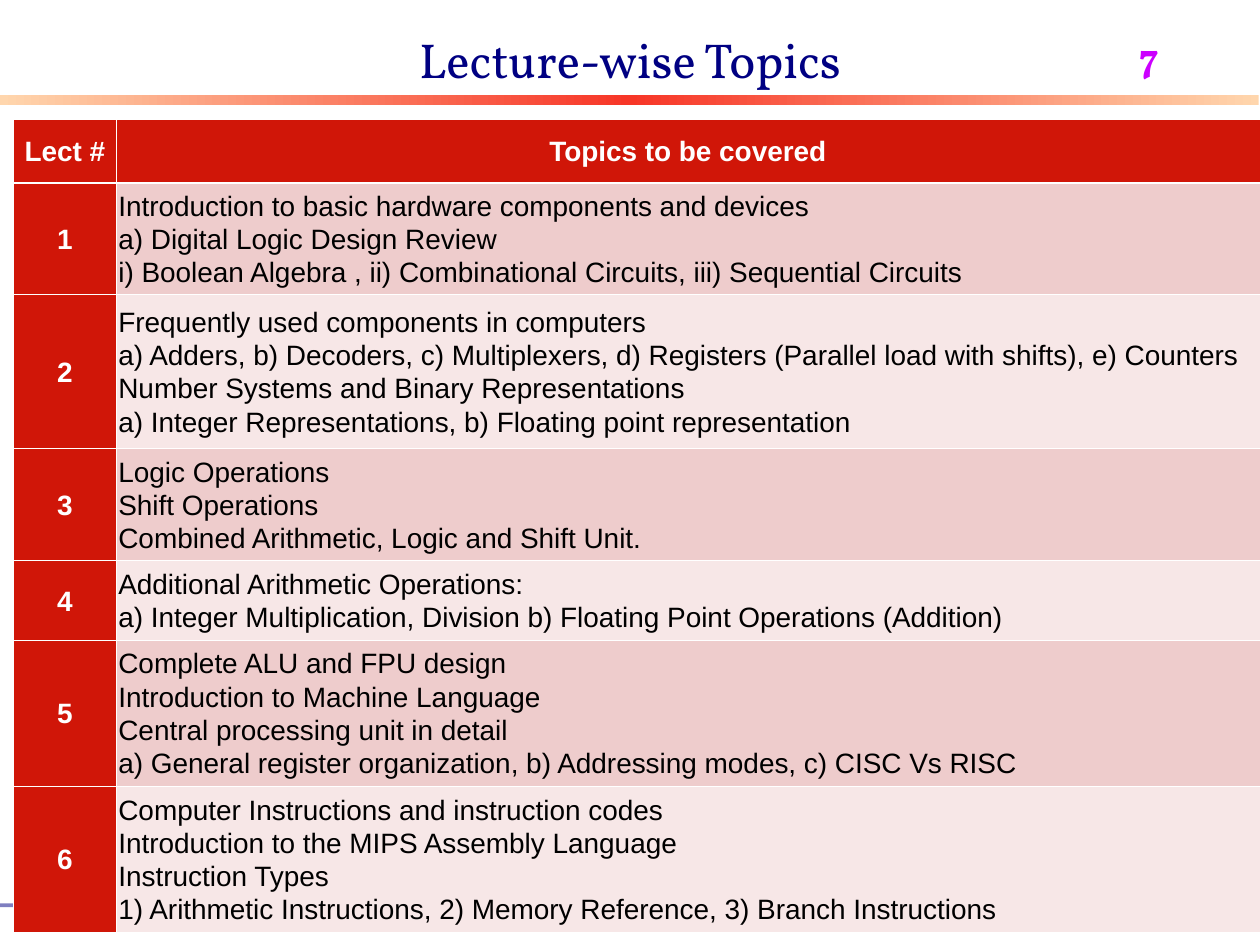
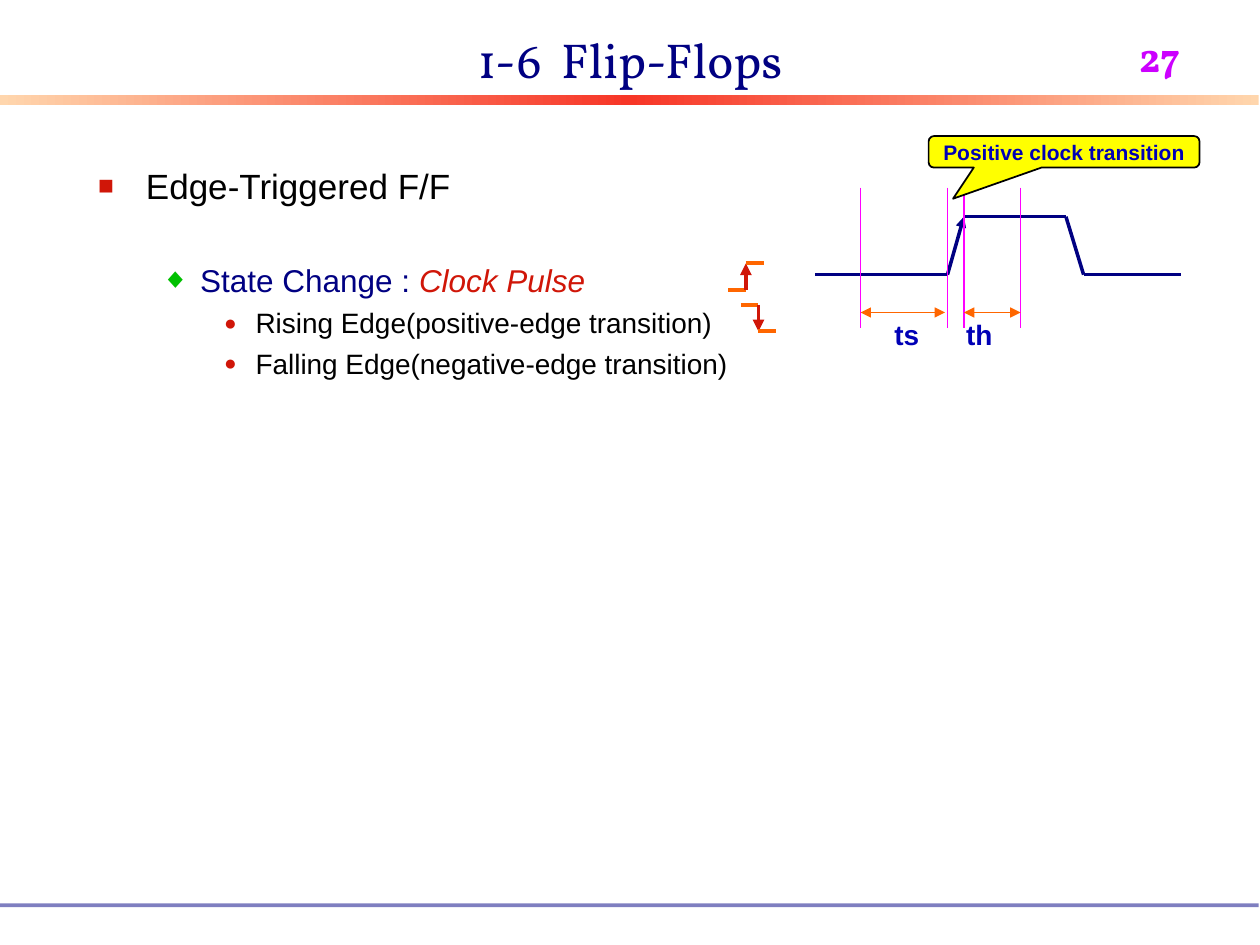
from lxml.etree import SubElement
from pptx import Presentation
from pptx.dml.color import RGBColor
from pptx.enum.shapes import MSO_CONNECTOR, MSO_SHAPE
from pptx.enum.text import MSO_ANCHOR, PP_ALIGN
from pptx.oxml import parse_xml
from pptx.oxml.ns import nsdecls, qn
from pptx.util import Inches, Pt

# Shared look
SANS, SERIF = "Arial", "Vollkorn"
NAVY, RED, BLACK, WHITE = "000082", "D01608", "000000", "FFFFFF"
BLUE, ORANGE, MAGENTA = "0000B6", "FF6600", "FF00FF"
PURPLE, YELLOW, GREEN = "CC00FF", "FFFF00", "00C000"
BAND_STOPS = [(0, "FFD6AD"), (50, "F73627"), (100, "FFD6AD")]
ROW_TINTS = ["EECCCC", "F7E7E7"]

# Lecture table: header, then the topics of each lecture with its row height
HEADER = ["Lect #", "Topics to be covered"]
HEADER_HEIGHT = 0.5
COLUMN_WIDTHS = [0.81, 9.08]
LECTURES = [
    (0.89, ["Introduction to basic hardware components and devices",
            "a) Digital Logic Design Review",
            "i) Boolean Algebra , ii) Combinational Circuits, iii) Sequential Circuits"]),
    (1.22, ["Frequently used components in computers",
            "a) Adders, b) Decoders, c) Multiplexers, d) Registers (Parallel load with shifts), e) Counters",
            "Number Systems and Binary Representations",
            "a) Integer Representations, b) Floating point representation"]),
    (0.89, ["Logic Operations",
            "Shift Operations",
            "Combined Arithmetic, Logic and Shift Unit."]),
    (0.63, ["Additional Arithmetic Operations:",
            "a) Integer Multiplication, Division b) Floating Point Operations (Addition)"]),
    (1.16, ["Complete ALU and FPU design",
            "Introduction to Machine Language",
            "Central processing unit in detail",
            "a) General register organization, b) Addressing modes, c) CISC Vs RISC"]),
    (1.16, ["Computer Instructions and instruction codes",
            "Introduction to the MIPS Assembly Language",
            "Instruction Types",
            "1) Arithmetic Instructions, 2) Memory Reference, 3) Branch Instructions"]),
]

# Flip-flop outline: runs of text and their format;
# a bullet is (glyph, colour, size in percent, left margin, hang)
DOT = ("●", RED, 75, 1.25, 0.25)
OUTLINE = [
    ([("Edge-Triggered F/F", {})],
     dict(size=20, bullet=("■", RED, 75, 0.38, 0.38))),
    ([("State Change : ", {}), ("Clock Pulse", dict(color=RED, italic=True))],
     dict(size=18, color=NAVY, before=31, bullet=("◆", GREEN, 90, 0.81, 0.31))),
    ([("Rising Edge(positive-edge transition)", {})],
     dict(size=16, before=4, bullet=DOT)),
    ([("Falling Edge(negative-edge transition)", {})],
     dict(size=16, before=4, bullet=DOT)),
]

# Timing diagram
LOW, HIGH = 2.18, 1.72
CLOCK_WAVE = [(6.47, LOW), (7.52, LOW), (7.65, HIGH),
              (8.46, HIGH), (8.6, LOW), (9.37, LOW)]
RISING_STEP = 1
SETUP_START, EDGE_START, EDGE_END, HOLD_END = 6.83, 7.52, 7.65, 8.1
MARKER_TOP, MARKER_HEIGHT, SPAN_Y = 1.49, 1.11, 2.48
SPANS = [("ts", SETUP_START, EDGE_START - 0.02, 7.0),
         ("th", EDGE_END, HOLD_END, 7.57)]
# Edge symbols: left, level before, level after
EDGE_SYMBOLS = [(5.78, 2.3, 2.09), (5.88, 2.42, 2.63)]
EDGE_STEP = 0.14


def rgb(hex_color):
    return RGBColor.from_string(hex_color)


def add_text(frame, text, size=16, color=BLACK, font=SANS, bold=False,
             italic=False, align=PP_ALIGN.LEFT, before=0, spacing=None, bullet=None):
    """Add one paragraph; text is a string or a list of (string, overrides)."""
    paragraph = frame.paragraphs[0]
    if paragraph.runs:
        paragraph = frame.add_paragraph()
    if bullet:
        glyph, glyph_color, percent, margin, hang = bullet
        props = paragraph._p.get_or_add_pPr()
        props.set("marL", str(Inches(margin)))
        props.set("indent", str(-Inches(hang)))
        SubElement(SubElement(props, qn("a:buClr")), qn("a:srgbClr"), val=glyph_color)
        SubElement(props, qn("a:buSzPct"), val=str(percent * 1000))
        SubElement(props, qn("a:buFont"), typeface=SANS)
        SubElement(props, qn("a:buChar"), char=glyph)
    paragraph.alignment = align
    paragraph.space_before = Pt(before)
    if spacing:
        paragraph.line_spacing = spacing
    for words, changes in ([(text, {})] if isinstance(text, str) else text):
        run = paragraph.add_run()
        run.text = words
        run.font.name = font
        run.font.size = Pt(size)
        run.font.bold = bold
        run.font.italic = changes.get("italic", italic)
        run.font.color.rgb = rgb(changes.get("color", color))


def add_box(slide, left, top, width, height, anchor=MSO_ANCHOR.TOP):
    frame = slide.shapes.add_textbox(
        Inches(left), Inches(top), Inches(width), Inches(height)).text_frame
    frame.word_wrap = True
    frame.vertical_anchor = anchor
    return frame


def add_block(slide, preset, left, top, width, height, fill):
    block = slide.shapes.add_shape(
        preset, Inches(left), Inches(top), Inches(width), Inches(height))
    block.shadow.inherit = False
    block.fill.solid()
    block.fill.fore_color.rgb = rgb(fill)
    block.line.fill.background()
    return block


def add_line(slide, start, end, color, width, arrows=()):
    """Draw a straight line; arrows lists 'headEnd' and/or 'tailEnd'."""
    line = slide.shapes.add_connector(
        MSO_CONNECTOR.STRAIGHT, *(Inches(v) for v in (*start, *end)))
    line.line.color.rgb = rgb(color)
    line.line.width = Pt(width)
    for arrow in arrows:
        SubElement(line.line._get_or_add_ln(), qn(f"a:{arrow}"), type="triangle")
    SubElement(line._element.spPr, qn("a:effectLst"))


def add_page(deck, title, number):
    slide = deck.slides.add_slide(deck.slide_layouts[6])
    # Gradient band under the title
    band = add_block(slide, MSO_SHAPE.RECTANGLE, 0, 0.75, 9.99, 0.08, RED)
    band.fill.gradient()
    band.fill.gradient_angle = 0
    stops = band._element.spPr.find(".//" + qn("a:gsLst"))
    stops.clear()
    for percent, color in BAND_STOPS:
        stop = SubElement(stops, qn("a:gs"), pos=str(percent * 1000))
        SubElement(stop, qn("a:srgbClr"), val=color)
    # Half-transparent footer rule
    footer = add_block(slide, MSO_SHAPE.RECTANGLE, 0, 7.17, 9.99, 0.03, NAVY)
    footer_color = footer._element.spPr.find(qn("a:solidFill"))[0]
    SubElement(footer_color, qn("a:alpha"), val="50000")
    # Page number and title
    add_text(add_box(slide, 8.94, 0.19, 1.06, 1.01), number,
             size=24, color=PURPLE, font=SERIF, bold=True)
    add_text(add_box(slide, 0.75, 0, 8.5, 0.75, MSO_ANCHOR.BOTTOM), title,
             size=28, color=NAVY, font=SERIF, align=PP_ALIGN.CENTER)
    return slide


def fill_cell(cell, lines, fill, top_border, bottom_border, **text_format):
    cell.margin_left = cell.margin_right = Inches(0.02)
    cell.margin_top = cell.margin_bottom = 0
    cell.vertical_anchor = MSO_ANCHOR.MIDDLE
    cell.fill.solid()
    cell.fill.fore_color.rgb = rgb(fill)
    borders = [("L", 0.45), ("R", 0.45), ("T", top_border), ("B", bottom_border)]
    for position, (side, width) in enumerate(borders):
        cell._tc.get_or_add_tcPr().insert(position, parse_xml(
            f'<a:ln{side} {nsdecls("a")} w="{Pt(width)}"><a:solidFill>'
            f'<a:srgbClr val="{WHITE}"/></a:solidFill></a:ln{side}>'))
    for line in lines:
        add_text(cell.text_frame, line, spacing=1.07, **text_format)


def add_lecture_table(slide):
    heights = [HEADER_HEIGHT] + [height for height, _ in LECTURES]
    table = slide.shapes.add_table(
        len(heights), len(COLUMN_WIDTHS), Inches(0.11), Inches(0.95),
        Inches(sum(COLUMN_WIDTHS)), Inches(sum(heights))).table
    for column, width in zip(table.columns, COLUMN_WIDTHS):
        column.width = Inches(width)
    for row, height in zip(table.rows, heights):
        row.height = Inches(height)
    heading = dict(color=WHITE, bold=True, align=PP_ALIGN.CENTER)
    for column, label in enumerate(HEADER):
        fill_cell(table.cell(0, column), [label], RED, 0.45, 1.47, **heading)
    for number, (_, topics) in enumerate(LECTURES, start=1):
        top_border = 1.47 if number == 1 else 0.45
        fill_cell(table.cell(number, 0), [str(number)], RED, top_border, 0.45, **heading)
        fill_cell(table.cell(number, 1), topics, ROW_TINTS[(number - 1) % 2],
                  top_border, 0.45)


def add_edge_symbols(slide):
    for left, before, after in EDGE_SYMBOLS:
        middle = left + EDGE_STEP
        add_line(slide, (left, before), (middle, before), ORANGE, 2.25)
        add_line(slide, (middle, before), (middle, after), RED, 2.25, ["tailEnd"])
        add_line(slide, (middle, after), (middle + EDGE_STEP, after), ORANGE, 2.25)


def add_timing_diagram(slide):
    # Clock wave, with an arrow on its rising step
    for step, (start, end) in enumerate(zip(CLOCK_WAVE, CLOCK_WAVE[1:])):
        add_line(slide, start, end, NAVY, 2, ["tailEnd"] if step == RISING_STEP else ())
    # Time markers
    for x in (SETUP_START, EDGE_START, EDGE_END, HOLD_END):
        add_line(slide, (x, MARKER_TOP), (x, MARKER_TOP + MARKER_HEIGHT), MAGENTA, 1)
    # Setup and hold spans
    for label, start, end, label_left in SPANS:
        add_line(slide, (start, SPAN_Y), (end, SPAN_Y), ORANGE, 1, ["headEnd", "tailEnd"])
        add_text(add_box(slide, label_left, 2.47, 0.6, 0.36), label, color=BLUE, bold=True)
    # Callout on the rising step
    callout = add_block(slide, MSO_SHAPE.ROUNDED_RECTANGULAR_CALLOUT,
                        7.37, 1.08, 2.15, 0.25, YELLOW)
    for index, value in enumerate((-0.41, 1.49, 0.17)):
        callout.adjustments[index] = value
    callout.line.color.rgb = rgb(BLACK)
    callout.line.width = Pt(1)
    callout.text_frame.word_wrap = False
    callout.text_frame.vertical_anchor = MSO_ANCHOR.MIDDLE
    add_text(callout.text_frame, "Positive clock transition", size=12,
             color=BLUE, bold=True, align=PP_ALIGN.CENTER)


def main():
    deck = Presentation()
    deck.slide_width, deck.slide_height = Inches(10), Inches(7.5)

    topics_slide = add_page(deck, "Lecture-wise Topics", "7")
    add_lecture_table(topics_slide)

    flip_flop_slide = add_page(deck, "1-6  Flip-Flops", "27")
    outline = add_box(flip_flop_slide, 0.68, 1.26, 9.01, 5.92)
    for text, text_format in OUTLINE:
        add_text(outline, text, **text_format)
    add_edge_symbols(flip_flop_slide)
    add_timing_diagram(flip_flop_slide)

    deck.save("out.pptx")


if __name__ == "__main__":
    main()
